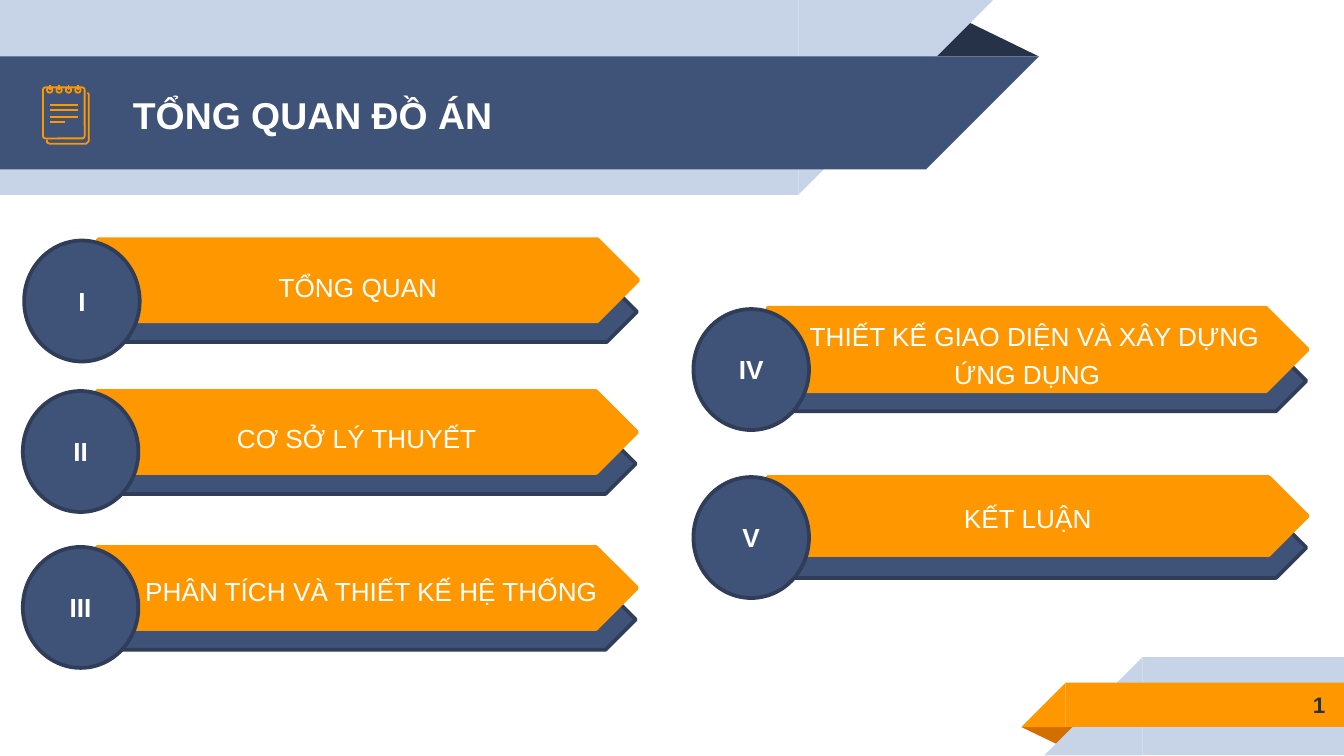
from dataclasses import dataclass

from lxml.etree import SubElement
from pptx import Presentation
from pptx.dml.color import RGBColor as RGB
from pptx.enum.shapes import MSO_CONNECTOR as CONN, MSO_SHAPE as SHAPE
from pptx.enum.text import MSO_ANCHOR as ANCHOR, PP_ALIGN as ALIGN
from pptx.oxml.ns import qn
from pptx.util import Inches, Pt


@dataclass(frozen=True)
class Theme:
    font: str = "Arial"
    navy: str = "3F5378"
    navy_edge: str = "2F3D59"
    dark: str = "263248"
    pale: str = "C7D3E6"
    orange: str = "FF9800"
    burnt: str = "D26F00"
    white: str = "FFFFFF"
    title: int = 20
    label: int = 14
    number: int = 12
    edge: float = 2
    icon_line: float = 0.96


T = Theme()

# Numeral, label, badge left, badge top, arrow top, arrow height, line spacing,
# first-line indent
TOPICS = [
    ("I", "TỔNG QUAN", 0.18, 1.79, 1.78, 0.61, 1.8, 0),
    ("II", "CƠ SỞ LÝ THUYẾT", 0.17, 2.91, 2.91, 0.61, 1.8, 0),
    ("III", "PHÂN TÍCH VÀ THIẾT KẾ HỆ THỐNG", 0.17, 4.07, 4.07, 0.61, 1.7, 0.22),
    ("IV", "THIẾT KẾ GIAO DIỆN VÀ XÂY DỰNG ỨNG DỤNG", 5.16, 2.3, 2.29, 0.62, 1.2, 0.11),
    ("V", "KẾT LUẬN", 5.16, 3.55, 3.55, 0.58, 1.6, 0),
]


def paint(sp, fill=None, line=None, width=T.edge):
    sp.shadow.inherit = False
    if fill:
        sp.fill.solid()
        sp.fill.fore_color.rgb = RGB.from_string(fill)
    else:
        sp.fill.background()
    if line:
        sp.line.color.rgb = RGB.from_string(line)
        sp.line.width = Pt(width)
        SubElement(sp.line._get_or_add_ln(), qn("a:round"))
    else:
        sp.line.fill.background()


def add_shape(s, kind, box, fill=None, line=None, width=T.edge, rotation=0, adj=None):
    sp = s.shapes.add_shape(kind, *map(Inches, box))
    sp.rotation = rotation
    if adj is not None:
        sp.adjustments[0] = adj
    paint(sp, fill, line, width)
    return sp


def set_text(sp, text, size, color=T.white, bold=False, align=ALIGN.CENTER,
             anchor=ANCHOR.MIDDLE, spacing=None, indent=0):
    tf = sp.text_frame
    tf.word_wrap = True
    tf.vertical_anchor = anchor
    p = tf.paragraphs[0]
    p.alignment = align
    if spacing:
        p.line_spacing = spacing
    if indent:
        p._p.get_or_add_pPr().set("indent", str(Inches(indent)))
    r = p.add_run()
    r.text = text
    for name, value in {"name": T.font, "size": Pt(size), "bold": bold}.items():
        setattr(r.font, name, value)
    r.font.color.rgb = RGB.from_string(color)


def add_text(s, box, text, size, **style):
    sp = s.shapes.add_textbox(*map(Inches, box))
    for side in ("left", "top", "right", "bottom"):
        setattr(sp.text_frame, f"margin_{side}", Inches(0.1))
    set_text(sp, text, size, bold=True, **style)


def add_line(s, x1, y1, x2, y2):
    c = s.shapes.add_connector(CONN.STRAIGHT, *map(Inches, (x1, y1, x2, y2)))
    c.line.color.rgb = RGB.from_string(T.orange)
    c.line.width = Pt(T.icon_line)
    SubElement(c._element.spPr, qn("a:effectLst"))


def add_header_band(s, top, width, height, color):
    """Band from the left edge, ending in a slope."""
    add_shape(s, SHAPE.RECTANGLE, (0, top, width, height), color)
    add_shape(s, SHAPE.RIGHT_TRIANGLE, (width, top, height, height), color, rotation=90)


def add_footer_band(s, left, top, height, color):
    """Band to the right edge, starting with a slope."""
    start = left + height
    add_shape(s, SHAPE.RECTANGLE, (start, top, 10 - start, height), color)
    add_shape(s, SHAPE.RIGHT_TRIANGLE, (left, top, height, height), color, rotation=270)


def add_notepad(s):
    # Back page, showing below and to the right of the front page
    points = [(0.35, 1.04), (0.35, 1.06), (0.37, 1.07), (0.64, 1.07), (0.66, 1.05),
              (0.66, 0.7), (0.65, 0.69)]
    (x, y), *rest = [(Inches(a), Inches(b)) for a, b in points]
    builder = s.shapes.build_freeform(x, y)
    builder.add_line_segments(rest, close=False)
    paint(builder.convert_to_shape(), line=T.orange, width=T.icon_line)
    # Front page
    add_shape(s, SHAPE.ROUNDED_RECTANGLE, (0.32, 0.65, 0.31, 0.38),
              line=T.orange, width=T.icon_line, adj=0.06)
    # Binding rings
    for i in range(4):
        x = 0.37 + 0.07 * i
        add_shape(s, SHAPE.OVAL, (x - 0.02, 0.65, 0.04, 0.04),
                  line=T.orange, width=T.icon_line)
        add_line(s, x, 0.63, x, 0.67)
    # Written lines
    for y, right in ((0.78, 0.58), (0.82, 0.58), (0.87, 0.58), (0.91, 0.48)):
        add_line(s, 0.37, y, right, y)


def add_topic(s, numeral, label, x, badge_y, y, h, spacing, indent):
    add_shape(s, SHAPE.PENTAGON, (x + 0.57, y + h / 2 + 0.01, 3.99, 0.45),
              T.navy, T.navy_edge)
    arrow = add_shape(s, SHAPE.PENTAGON, (x + 0.55, y, 4.02, h), T.orange, T.orange)
    set_text(arrow, label, T.label, anchor=ANCHOR.TOP, spacing=spacing, indent=indent)
    badge = add_shape(s, SHAPE.OVAL, (x, badge_y, 0.86, 0.9), T.navy, T.navy_edge)
    set_text(badge, numeral, T.label, bold=True)


def main():
    prs = Presentation()
    prs.slide_width = Inches(10)
    prs.slide_height = prs.slide_width * 9 // 16
    s = prs.slides.add_slide(prs.slide_layouts[6])

    # Header ribbon
    add_shape(s, SHAPE.ISOSCELES_TRIANGLE, (6.88, 0.14, 0.85, 0.28), T.dark, adj=0.324)
    add_header_band(s, 0, 5.94, 1.45, T.pale)
    add_header_band(s, 0.42, 6.89, 0.84, T.navy)

    # Footer ribbon
    add_shape(s, SHAPE.ISOSCELES_TRIANGLE, (7.6, 5.41, 0.43, 0.14), T.burnt,
              rotation=180, adj=0.324)
    add_footer_band(s, 7.77, 4.89, 0.73, T.pale)
    add_footer_band(s, 7.6, 5.08, 0.33, T.orange)

    # Title, slide number and icon
    add_text(s, (0.89, 0.43, 5.75, 0.84), "TỔNG QUAN ĐỒ ÁN", T.title, align=ALIGN.LEFT)
    add_text(s, (8.33, 5.07, 1.63, 0.35), "1", T.number, color=T.dark, align=ALIGN.RIGHT)
    add_notepad(s)

    # Topics
    for topic in TOPICS:
        add_topic(s, *topic)

    prs.save("out.pptx")


if __name__ == "__main__":
    main()
